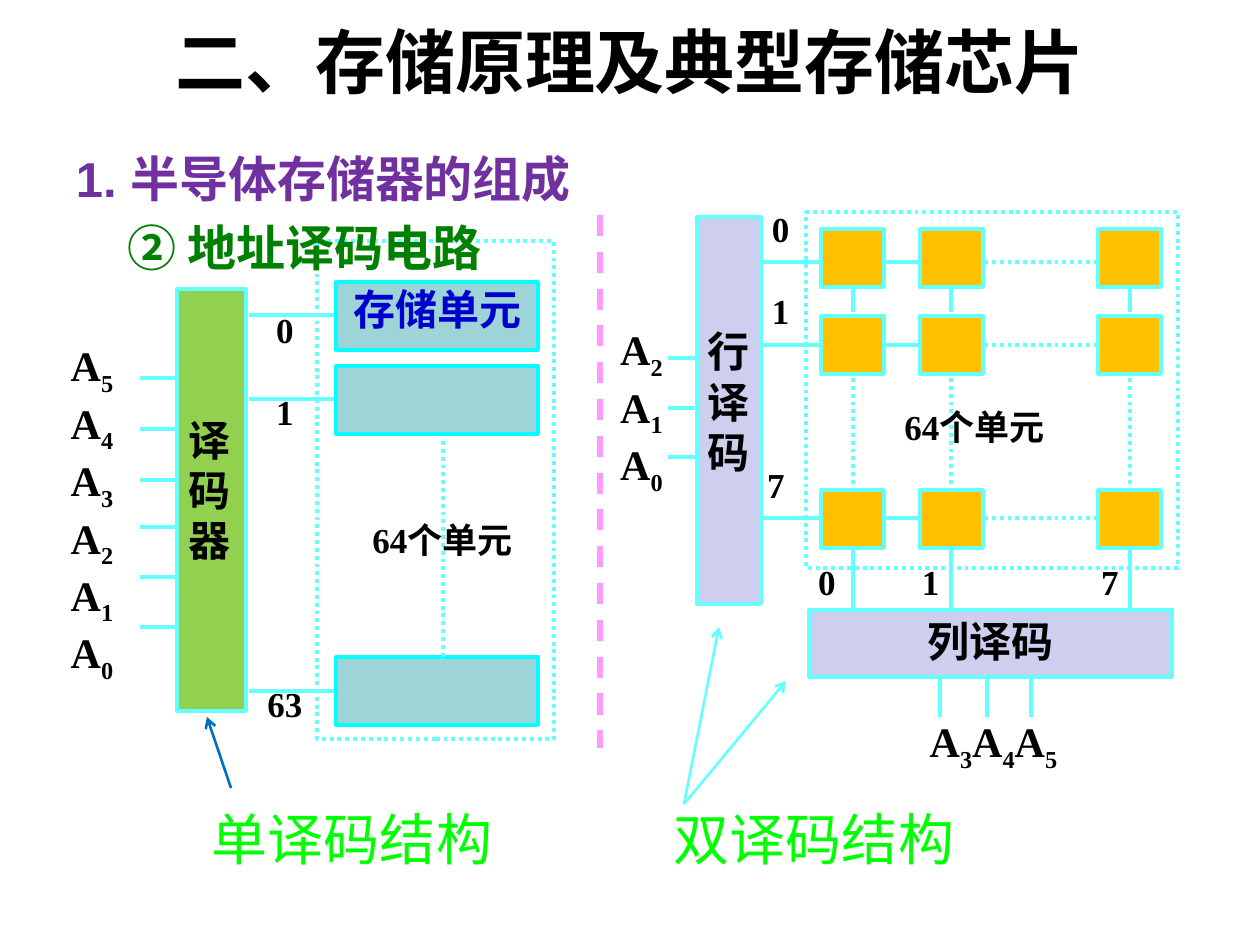
"""Build a slide comparing single and double address decoding in memory chips."""
import pptx
import pptx.dml.color
import pptx.enum.dml
import pptx.enum.shapes
import pptx.enum.text
import pptx.oxml.ns
import pptx.util
from lxml import etree

RGB = pptx.dml.color.RGBColor
DASH = pptx.enum.dml.MSO_LINE
ALIGN = pptx.enum.text.PP_ALIGN
ANCHOR = pptx.enum.text.MSO_ANCHOR
BLACK = RGB(0x00, 0x00, 0x00)
BLUE = RGB(0x00, 0x00, 0xCC)
GREEN = RGB(0x00, 0x80, 0x00)
LIME = RGB(0x00, 0xFF, 0x00)
PURPLE = RGB(0x70, 0x30, 0xA0)
CYAN = RGB(0x66, 0xFF, 0xFF)
AQUA = RGB(0x00, 0xFF, 0xFF)
TEAL = RGB(0x9E, 0xD3, 0xD7)
LEAF = RGB(0x92, 0xD0, 0x50)
LILAC = RGB(0xCE, 0xCE, 0xEF)
AMBER = RGB(0xFF, 0xC0, 0x00)
STEEL = RGB(0x00, 0x70, 0xC0)
PINK = RGB(0xFF, 0x99, 0xFF)
PX = 914400 / 126
SERIF = "Times New Roman"

prs = pptx.Presentation()
prs.slide_width = pptx.util.Emu(int(1260 * PX))
prs.slide_height = pptx.util.Emu(int(945 * PX))
s = prs.slides.add_slide(prs.slide_layouts[6])


def write(box, text, size=24, color=BLACK, font=SERIF, bold=True, align=ALIGN.CENTER,
          anchor=ANCHOR.TOP, inset=(1, 1), wrap=True, spacing=None):
    sp = s.shapes.add_textbox(*(int(v * PX) for v in box))
    tf = sp.text_frame
    tf.word_wrap = wrap
    tf.vertical_anchor = anchor
    tf.margin_left = tf.margin_right = int(inset[0] * PX)
    tf.margin_top = tf.margin_bottom = int(inset[1] * PX)
    for i, content in enumerate(text.split("\n")):
        p = tf.paragraphs[0] if i == 0 else tf.add_paragraph()
        p.alignment = align
        if spacing:
            p.line_spacing = spacing
        address = content.startswith("A")
        for part in content if address else [content]:
            r = p.add_run()
            r.text = part
            r.font.size = pptx.util.Pt(size)
            r.font.name = font
            r.font.bold = bold
            r.font.color.rgb = color
            if address and part.isdigit():
                r.font._element.set("baseline", "-25000")


def line(x1, y1, x2, y2, color=CYAN, width=2.25, dash=None, arrow=False):
    sp = s.shapes.add_connector(pptx.enum.shapes.MSO_CONNECTOR.STRAIGHT,
                                *(int(v * PX) for v in (x1, y1, x2, y2)))
    sp.line.color.rgb = color
    sp.line.width = pptx.util.Pt(width)
    if dash:
        sp.line.dash_style = dash
    if arrow:
        etree.SubElement(sp.line._get_or_add_ln(), pptx.oxml.ns.qn("a:tailEnd"), type="arrow")
    etree.SubElement(sp._element.spPr, pptx.oxml.ns.qn("a:effectLst"))


cols, rows = (821, 920, 1098), (229, 316, 490)
centers = (853, 951, 1130)
levels = (262, 345, 518)
unit_tops = (282, 366, 657)

rects = [(177, 289, 69, 422, LEAF, CYAN), (697, 217, 64, 387, LILAC, CYAN),
         (809, 610, 363, 67, LILAC, CYAN)]
rects += [(336, y, 202, 68, TEAL, AQUA) for y in unit_tops]
rects += [(x, y, 63, 58, AMBER, CYAN) for y in rows for x in cols]
rects += [(317, 241, 237, 498, None, CYAN), (806, 212, 372, 356, None, CYAN)]
for x, y, w, h, fill, edge in rects:
    sp = s.shapes.add_shape(pptx.enum.shapes.MSO_SHAPE.RECTANGLE,
                            *(int(v * PX) for v in (x, y, w, h)))
    sp.shadow.inherit = False
    sp.line.color.rgb = edge
    sp.line.width = pptx.util.Pt(2.25)
    if fill:
        sp.fill.solid()
        sp.fill.fore_color.rgb = fill
    else:
        sp.fill.background()
        sp.line.dash_style = DASH.ROUND_DOT

for y in (378, 429, 480, 527, 577, 627):
    line(140, y, 177, y)
for y in (315, 399, 691):
    line(249, y, 334, y)
line(443, 441, 443, 657, dash=DASH.ROUND_DOT)
line(231, 788, 207, 717, STEEL, 1.5, arrow=True)

for y in (358, 408, 457):
    line(668, y, 697, y)
for y in levels:
    line(761, y, 822, y)
    line(885, y, 920, y)
    line(984, y, 1098, y, dash=DASH.ROUND_DOT)
for x in centers:
    line(x, 312, x, 285)
    line(x, 378, x, 490, dash=DASH.ROUND_DOT)
    line(x, 548, x, 611)
for x in (940, 987, 1031):
    line(x, 679, x, 717)
line(684, 804, 719, 627, width=1.5, arrow=True)
line(685, 803, 786, 681, width=1.5, arrow=True)
line(600, 215, 600, 748, PINK, 3, DASH.DASH)

write((182, 413, 55, 271), "译码器")
write((697, 325, 64, 253), "行译码")
write((872, 615, 238, 62), "列译码")
write((336, 282, 203, 68), "存储单元", color=BLUE)
write((43, 339, 98, 346), "A5\nA4\nA3\nA2\nA1\nA0")
write((601, 323, 81, 174), "A2\nA1\nA0")
write((892, 715, 203, 79), "A3A4A5")

for text, y in (("0", 307), ("1", 389), ("63", 681)):
    write((242, y, 86, 58), text, 20)
for text, x, y in (("0", 771, 206), ("1", 771, 288), ("7", 766, 463),
                   ("0", 817, 559), ("1", 921, 559), ("7", 1100, 559)):
    write((x, y, 32, 58), text, 20, align=ALIGN.LEFT)
for x, y, w in ((346, 517, 193), (868, 404, 213)):
    write((x, y, w, 58), "64个单元", 20)
for x, text in ((199, "单译码结构"), (661, "双译码结构")):
    write((x, 798, 340, 79), text, 32, LIME, "Roboto", False, ALIGN.LEFT,
          inset=(13, 6))

write((115, 186, 1081, 122), "② 地址译码电路", 28, GREEN, "Arial", align=ALIGN.LEFT,
      anchor=ANCHOR.MIDDLE, inset=(13, 6))
write((63, 113, 626, 93), "1. 半导体存储器的组成", 28, PURPLE, "Arial", align=ALIGN.LEFT,
      inset=(13, 6), spacing=1.5)
write((63, 0, 1134, 122), "二、存储原理及典型存储芯片", 40, BLACK, "Arial",
      anchor=ANCHOR.MIDDLE, inset=(13, 6))

prs.save("out.pptx")
